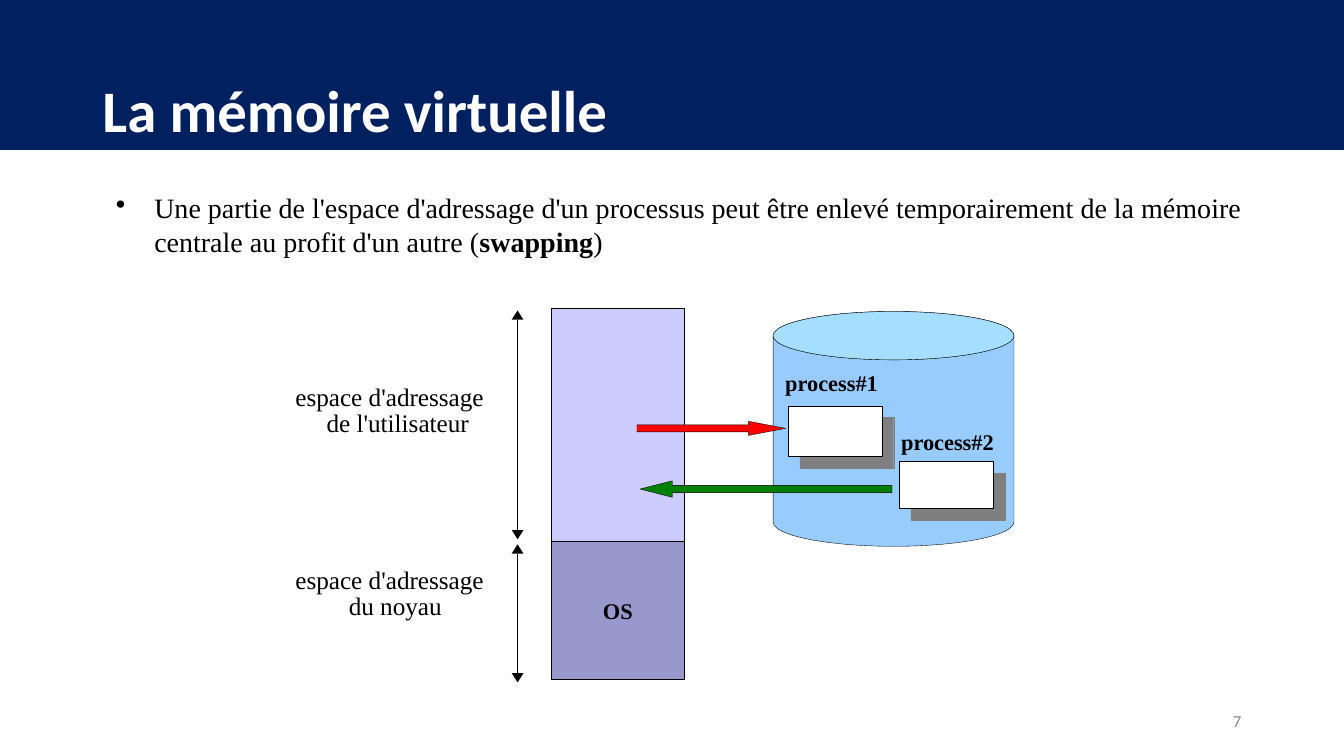
from dataclasses import dataclass

from lxml import etree
from pptx import Presentation, util as u
from pptx.dml.color import RGBColor
from pptx.enum import shapes, text
from pptx.oxml import ns

COLS, ROWS = 160, 90
WIDTH, HEIGHT = u.Inches(13.333), u.Inches(7.5)
SHAPE = shapes.MSO_SHAPE
ALIGN = text.PP_ALIGN
ANCHOR = text.MSO_ANCHOR


@dataclass(frozen=True)
class Theme:
    """Colours, fonts and type sizes of the slide."""
    navy: str = "002060"
    white: str = "FFFFFF"
    black: str = "000000"
    grey: str = "8C8C8C"
    shade: str = "7F7F7F"
    kernel: str = "9898CC"
    user: str = "CCCCFF"
    disk: str = "98CCFF"
    lid: str = "A6DEFF"
    swap_out: str = "FF0000"
    swap_in: str = "007F00"
    head: str = "Calibri"
    body: str = "Times New Roman"
    title_size: int = 42
    body_size: int = 20
    label_size: int = 18
    tag_size: int = 16
    number_size: int = 12
    hairline: float = 0.25


T = Theme()


def x(cols):
    """Convert grid columns to a length."""
    return u.Emu(round(WIDTH * cols / COLS))


def y(rows):
    """Convert grid rows to a length."""
    return u.Emu(round(HEIGHT * rows / ROWS))


def place(left, top, width, height):
    """Convert a grid box to slide lengths."""
    return x(left), y(top), x(width), y(height)


def style(p, size, color=T.black, name=T.body, bold=False, align=ALIGN.LEFT):
    """Format a paragraph."""
    p.alignment = align
    p.font.size, p.font.name, p.font.bold = u.Pt(size), name, bold
    p.font.color.rgb = RGBColor.from_string(color)


def add_shape(s, kind, box, fill, line=T.black, weight=T.hairline):
    """Draw a flat preset shape."""
    sp = s.shapes.add_shape(kind, *place(*box))
    sp.shadow.inherit = False
    sp.fill.solid()
    sp.fill.fore_color.rgb = RGBColor.from_string(fill)
    sp.line.color.rgb = RGBColor.from_string(line)
    sp.line.width = u.Pt(weight)
    return sp


def add_text(s, box, content="", top_inset=0.01, wrap=True):
    """Add a text box without side margins and return its frame and paragraph."""
    tf = s.shapes.add_textbox(*place(*box)).text_frame
    tf.word_wrap = wrap
    tf.margin_left = tf.margin_right = tf.margin_bottom = 0
    tf.margin_top = u.Inches(top_inset)
    p = tf.paragraphs[0]
    p.text = content
    return tf, p


def indent(p, left, first):
    """Set the left margin and first-line indent of a paragraph in inches."""
    pPr = p._p.get_or_add_pPr()
    pPr.set("marL", str(u.Inches(left)))
    pPr.set("indent", str(u.Inches(first)))
    return pPr


def add_title(s, content):
    """Fill the title over a navy banner."""
    banner = add_shape(s, SHAPE.RECTANGLE, (0, 0, COLS, 17.76), T.navy, T.navy, 1)
    s.shapes._spTree.insert(2, banner._element)
    title = s.shapes.title
    title.left, title.top, title.width, title.height = place(11, 4.8, 138, 17.4)
    tf = title.text_frame
    tf.text, tf.vertical_anchor = content, ANCHOR.MIDDLE
    tf.auto_size = text.MSO_AUTO_SIZE.NONE
    p = tf.paragraphs[0]
    p.line_spacing = 0.9
    style(p, T.title_size, T.white, T.head, True)


def add_bullet(s):
    """Write the bulleted statement on swapping."""
    _, p = add_text(s, (13.68, 22.2, 138, 8.64), top_inset=0.04)
    style(p, T.body_size)
    p.space_before = u.Pt(3.1)
    for content, bold in (
        ("Une partie de l'espace d'adressage d'un processus peut être enlevé "
         "temporairement de la mémoire centrale au profit d'un autre (", False),
        ("swapping", True),
        (")", False),
    ):
        r = p.add_run()
        r.text, r.font.bold = content, bold
    pPr = indent(p, 0.39, -0.38)
    bullet = etree.Element(ns.qn("a:buChar"), char="•")
    pPr.find(ns.qn("a:defRPr")).addprevious(bullet)


def add_segment(s, top, height, fill, label=""):
    """Draw one part of the main memory."""
    sp = add_shape(s, SHAPE.RECTANGLE, (65.64, top, 15.84, height), fill)
    if label:
        sp.text_frame.text = label
        style(sp.text_frame.paragraphs[0], T.tag_size, bold=True, align=ALIGN.CENTER)


def add_extent(s, top, bottom):
    """Draw a vertical double arrow between two rows."""
    center, width, height = 61.62, 1.4, 1.1
    line = s.shapes.add_connector(shapes.MSO_CONNECTOR.STRAIGHT,
                                  x(center), y(top + height), x(center), y(bottom - height))
    line.line.color.rgb = RGBColor.from_string(T.black)
    line.line.width = u.Pt(T.hairline)
    etree.SubElement(line._element.spPr, ns.qn("a:effectLst"))
    for tip, turn in ((top, 0), (bottom - height, 180)):
        head = add_shape(s, SHAPE.ISOSCELES_TRIANGLE,
                         (center - width / 2, tip, width, height), T.black)
        head.line.fill.background()
        head.rotation = turn


def add_space_label(s, top, content, left, first):
    """Name an address space beside its extent."""
    _, p = add_text(s, (34.92, top, 24.12, 6.72), content, 0.03)
    style(p, T.label_size)
    p.line_spacing, p.space_before = u.Pt(18.5), u.Pt(2.2)
    indent(p, left, first)


def add_disk(s, left, top, width, height, lid):
    """Draw the swap disk with its lid."""
    can = add_shape(s, SHAPE.CAN, (left, top, width, height), T.disk)
    can.adjustments[0] = lid / height
    add_shape(s, SHAPE.OVAL, (left, top, width, lid), T.lid)


def add_process(s, box, label, label_left, label_top):
    """Draw a process page with its offset shade and its name."""
    left, top, width, height = box
    add_shape(s, SHAPE.RECTANGLE, (left + 1.4, top + 1.36, width, height), T.shade, T.shade)
    add_shape(s, SHAPE.RECTANGLE, box, T.white)
    _, p = add_text(s, (label_left, label_top, 11.88, 3.36), label, wrap=False)
    p.space_before = u.Pt(1)
    style(p, T.tag_size, bold=True)


def add_arrow(s, kind, box, fill, shaft, head):
    """Draw a block arrow with the given shaft share and head length."""
    sp = add_shape(s, kind, box, fill)
    sp.adjustments[0], sp.adjustments[1] = shaft, head / box[3]


def add_number(s, content):
    """Write the slide number."""
    tf, p = add_text(s, (113, 83.4, 34.8, 4.8), content)
    tf.vertical_anchor = ANCHOR.MIDDLE
    style(p, T.number_size, T.grey, T.head, align=ALIGN.RIGHT)


def main():
    """Build and save the slide."""
    prs = Presentation()
    prs.slide_width, prs.slide_height = WIDTH, HEIGHT
    s = prs.slides.add_slide(prs.slide_layouts[5])
    add_title(s, "La mémoire virtuelle")
    add_bullet(s)
    add_segment(s, 64.44, 16.44, T.kernel, "OS")
    add_segment(s, 36.72, 27.72, T.user)
    add_disk(s, 92.04, 37.08, 28.68, 27.96, 5.76)
    add_process(s, (93.84, 48.36, 11.16, 6), "process#1", 93.48, 43.8)
    add_process(s, (107.04, 54.96, 11.2, 5.6), "process#2", 107.28, 50.88)
    add_arrow(s, SHAPE.RIGHT_ARROW, (75.84, 50.16, 17.7, 1.68), T.swap_out, 0.5, 4.4)
    add_arrow(s, SHAPE.LEFT_ARROW, (76.2, 57.24, 30, 1.96), T.swap_in, 0.44, 3.84)
    add_extent(s, 36.96, 64.2)
    add_extent(s, 64.8, 81.24)
    add_space_label(s, 45.6, "espace d'adressage de l'utilisateur", 0.33, -0.31)
    add_space_label(s, 67.32, "espace d'adressage du noyau", 0.55, -0.53)
    add_number(s, "7")
    prs.save("out.pptx")


if __name__ == "__main__":
    main()
